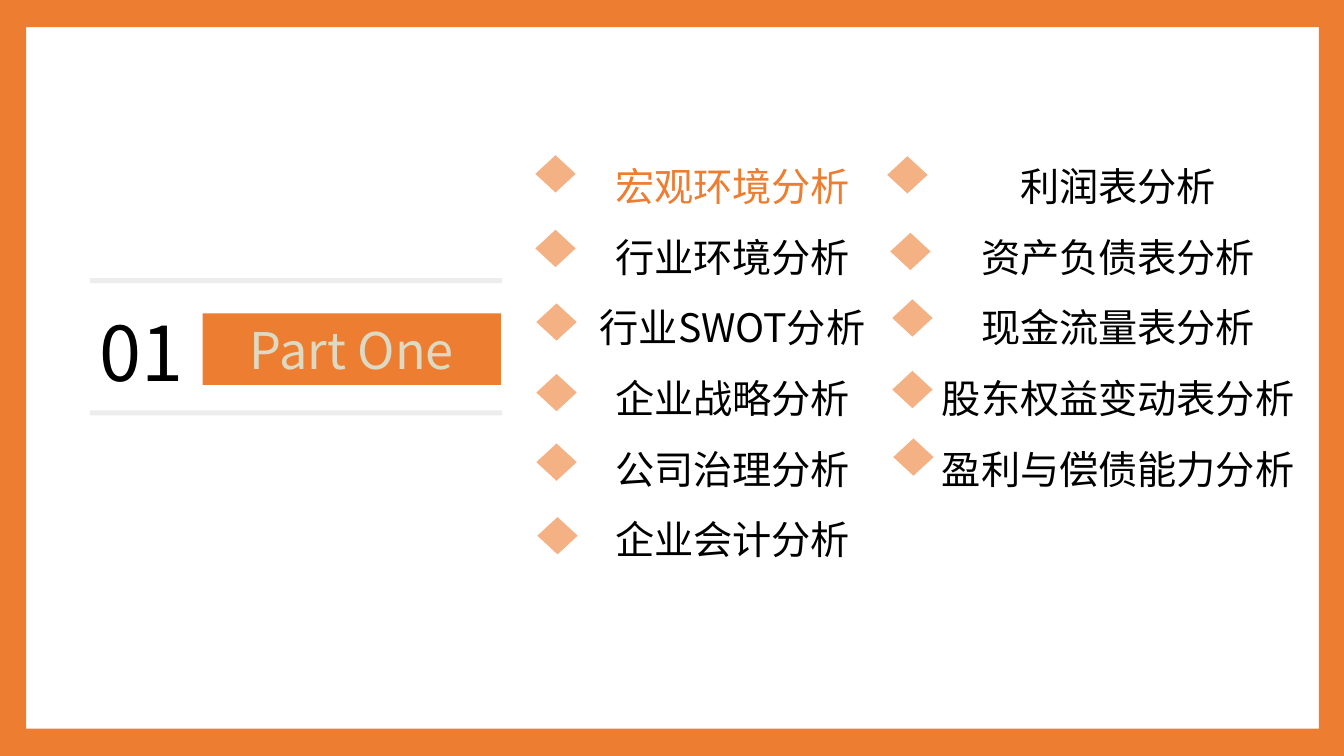
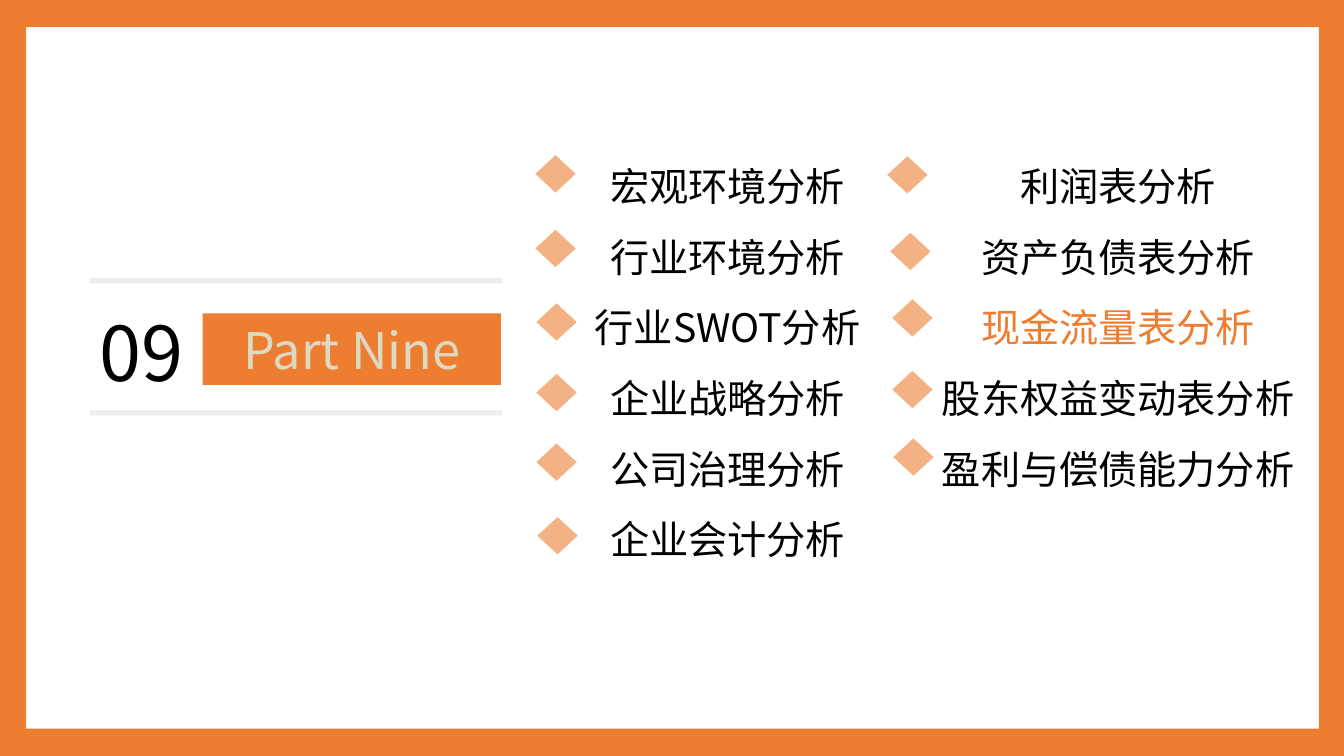
import pptx
import pptx.dml.color
import pptx.enum.shapes
import pptx.enum.text
import pptx.oxml.ns
import pptx.util
from lxml import etree

Inches = pptx.util.Inches
SHAPES = pptx.enum.shapes.MSO_SHAPE
ALIGN = pptx.enum.text.PP_ALIGN

FONT = "Noto Sans CJK SC"
COLORS = {
    "accent": "ED7D31",
    "marker": "F4B183",
    "rule": "EDEDED",
    "label": "DDD9C3",
    "text": "000000",
    "page": "FFFFFF",
}
WIDTH, HEIGHT = 13.33, 7.5
FRAME = [
    (0, 0, WIDTH, 0.27),
    (0, 7.23, WIDTH, 0.27),
    (0, 0, 0.26, HEIGHT),
    (13.08, -0.02, 0.26, HEIGHT),
]
LEFT_TOPICS = ["宏观环境分析", "行业环境分析", "行业SWOT分析",
               "企业战略分析", "公司治理分析", "企业会计分析"]
RIGHT_TOPICS = ["利润表分析", "资产负债表分析", "现金流量表分析",
                "股东权益变动表分析", "盈利与偿债能力分析"]
MARKERS = [
    (5.31, 1.54), (5.31, 2.28), (5.32, 3.01), (5.32, 3.71), (5.32, 4.4), (5.33, 5.13),
    (8.8, 1.55), (8.83, 2.31), (8.85, 2.97), (8.85, 3.68), (8.86, 4.35),
]
# number, label, highlighted topic, left edge of the first topic column
SECTIONS = [
    ("01", "Part One", "宏观环境分析", 5.24),
    ("09", "Part Nine", "现金流量表分析", 5.19),
]


def rgb(name):
    return pptx.dml.color.RGBColor.from_string(COLORS[name])


def add_block(page, kind, place, color):
    """Add a filled preset shape without outline or shadow."""
    block = page.shapes.add_shape(kind, *map(Inches, place))
    block.shadow.inherit = False
    block.fill.solid()
    block.fill.fore_color.rgb = rgb(color)
    block.line.fill.background()
    return block


def add_span(para, text, size, color):
    """Add a run with the same Latin and East Asian font."""
    span = para.add_run()
    span.text = text
    span.font.size = pptx.util.Pt(size)
    span.font.name = FONT
    span.font.color.rgb = rgb(color)
    east_asian = etree.Element(pptx.oxml.ns.qn("a:ea"), typeface=FONT)
    span.font._element.find(pptx.oxml.ns.qn("a:latin")).addnext(east_asian)


def add_text_box(page, place):
    box = page.shapes.add_textbox(*map(Inches, place))
    frame = box.text_frame
    frame.word_wrap = True
    frame.auto_size = pptx.enum.text.MSO_AUTO_SIZE.SHAPE_TO_FIT_TEXT
    return frame


def add_topics(page, place, topics, current):
    frame = add_text_box(page, place)
    for index, topic in enumerate(topics):
        para = frame.add_paragraph() if index else frame.paragraphs[0]
        para.alignment = ALIGN.CENTER
        para.line_spacing = 1.5
        add_span(para, topic, 28, "accent" if topic == current else "text")


def add_heading(page, number, label):
    """Add the section number and its label between two rules."""
    frame = add_text_box(page, (0.89, 2.99, 1.96, 1.01))
    add_span(frame.paragraphs[0], number, 54, "text")
    for top in (2.76, 4.07):
        add_block(page, SHAPES.RECTANGLE, (0.89, top, 4.09, 0.05), "rule")
    band = add_block(page, SHAPES.RECTANGLE, (2.01, 3.11, 2.96, 0.71), "accent")
    band.text_frame.auto_size = pptx.enum.text.MSO_AUTO_SIZE.SHAPE_TO_FIT_TEXT
    para = band.text_frame.paragraphs[0]
    para.alignment = ALIGN.CENTER
    add_span(para, label, 36, "label")


def add_section(deck, number, label, current, topics_left):
    page = deck.slides.add_slide(deck.slide_layouts[6])
    page.background.fill.solid()
    page.background.fill.fore_color.rgb = rgb("page")
    for place in FRAME:
        add_block(page, SHAPES.RECTANGLE, place, "accent")
    add_heading(page, number, label)
    for left, top in MARKERS:
        add_block(page, SHAPES.DIAMOND, (left, top, 0.4, 0.37), "marker")
    add_topics(page, (topics_left, 1.33, 4.05, 4.34), LEFT_TOPICS, current)
    add_topics(page, (9.16, 1.33, 3.86, 3.64), RIGHT_TOPICS, current)


def main():
    deck = pptx.Presentation()
    deck.slide_width, deck.slide_height = Inches(WIDTH), Inches(HEIGHT)
    for section in SECTIONS:
        add_section(deck, *section)
    deck.save("out.pptx")


if __name__ == "__main__":
    main()
